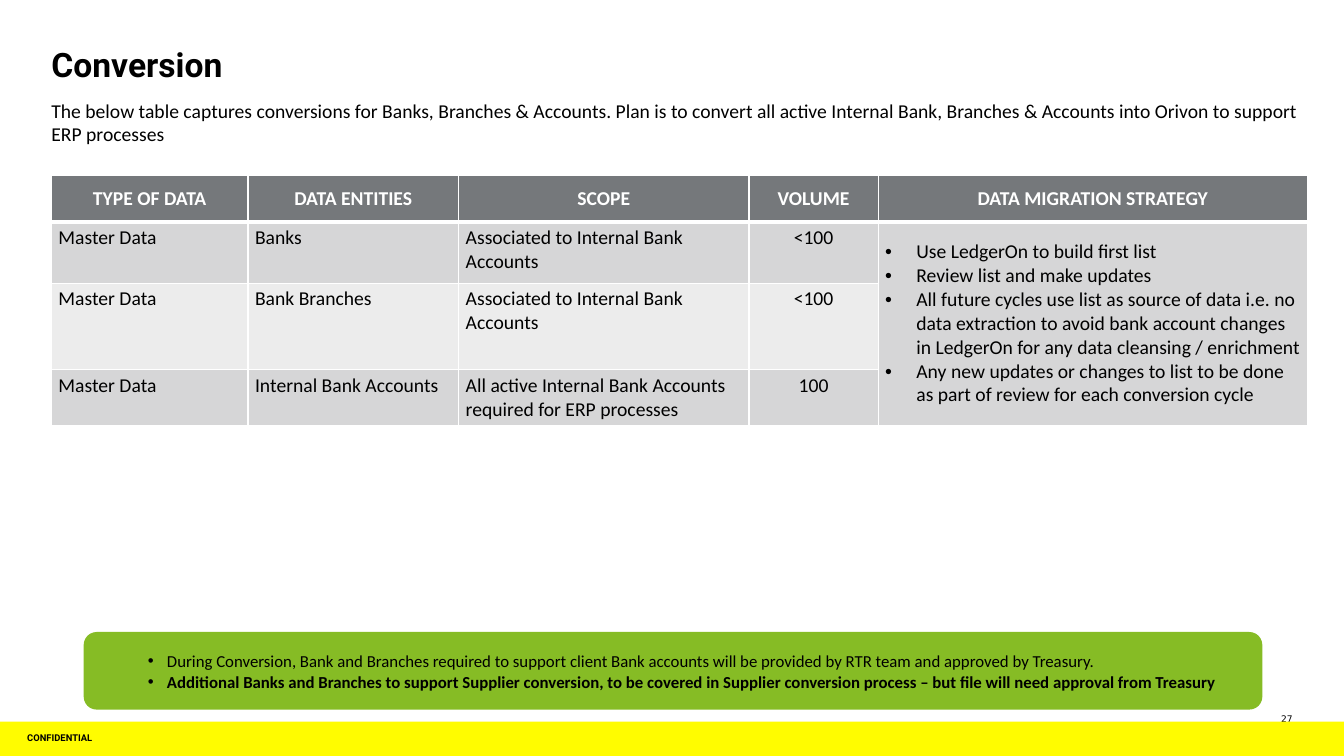
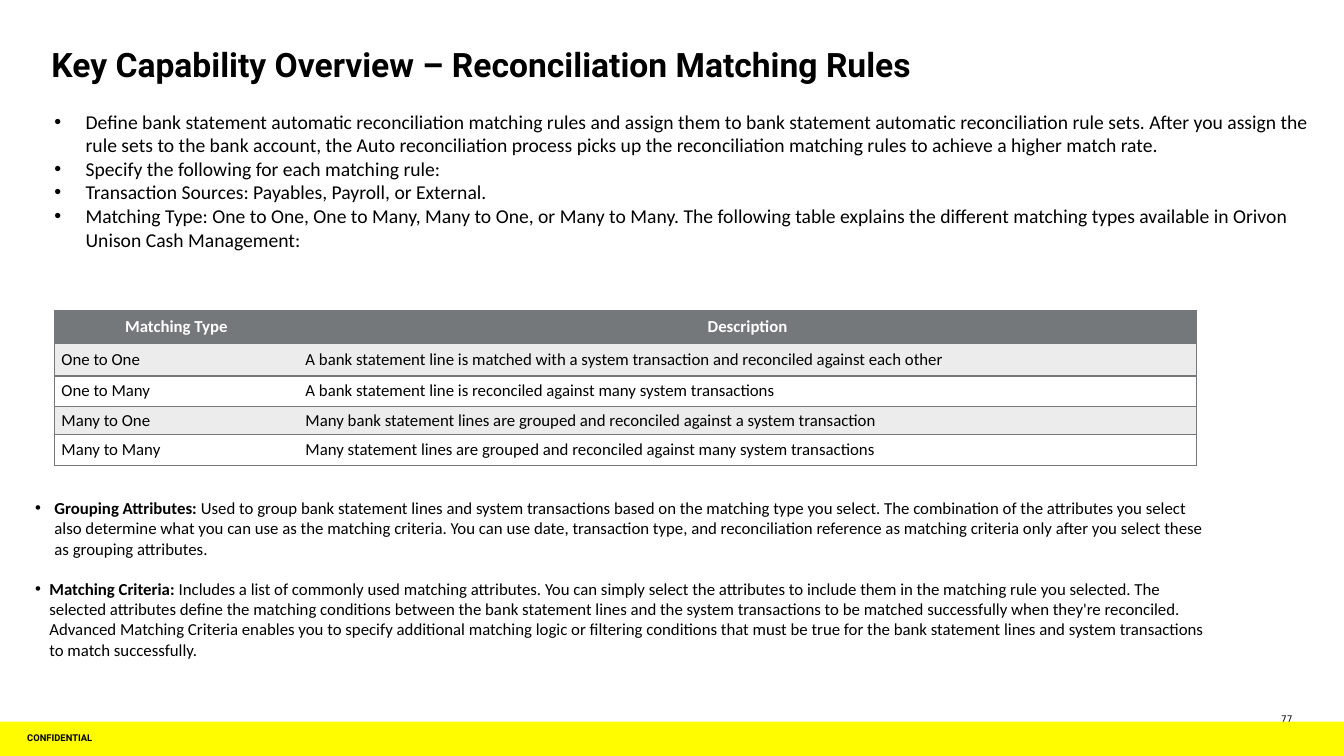
from dataclasses import dataclass
from typing import Sequence

from lxml.etree import SubElement
from pptx import Presentation
from pptx.dml.color import RGBColor
from pptx.enum.shapes import MSO_SHAPE
from pptx.enum.text import MSO_ANCHOR, PP_ALIGN
from pptx.oxml.ns import qn
from pptx.util import Emu, Pt

PX = 9144  # EMU, 100 px to the inch
SLIDE_WIDTH, SLIDE_HEIGHT = 1333, 750
BAND_TOP = 716

BLACK, WHITE = "000000", "FFFFFF"
YELLOW, GREEN = "FFFC00", "86BC25"
GREY, MID_GREY, LIGHT_GREY = "75787B", "D6D6D7", "ECECEC"


@dataclass(frozen=True)
class Style:
    size: float = 14
    font: str = "Calibri"
    color: str = BLACK
    bold: bool = False
    align: PP_ALIGN = PP_ALIGN.LEFT
    line_spacing: float | None = None


@dataclass(frozen=True)
class Para:
    text: str
    lead: str = ""
    bold: bool = False
    indent: int = 0
    hang: int = 0
    space_after: float = 0


@dataclass(frozen=True)
class Box:
    left: int
    top: int
    width: int
    height: int
    insets: tuple[int, int] = (0, 0)
    anchor: MSO_ANCHOR = MSO_ANCHOR.TOP

    def emu(self) -> tuple[Emu, Emu, Emu, Emu]:
        return px(self.left), px(self.top), px(self.width), px(self.height)


@dataclass(frozen=True)
class Grid:
    left: int
    top: int
    widths: tuple[int, ...]
    heights: tuple[int, ...]
    rows: tuple[tuple[str, ...], ...]
    bands: tuple[str, str]
    rule_color: str
    size: float
    body_anchor: MSO_ANCHOR
    column_rules: bool = False
    header_rule: float = 1
    centered_column: int | None = None
    bullet_column: int | None = None


TITLE = Style(24, "Roboto", bold=True)
BODY = Style()
SMALL = Style(12)
CALLOUT = Style(12, line_spacing=1.06)
PAGE_NUMBER = Style(6.5, "DejaVu Sans", align=PP_ALIGN.RIGHT)
CLASSIFICATION = Style(6.7, "Roboto", bold=True, line_spacing=0.8)


def px(length: int) -> Emu:
    return Emu(length * PX)


def rgb(color: str) -> RGBColor:
    return RGBColor.from_string(color)


def bullets(*texts: str) -> list[Para]:
    return [Para(text, indent=31, hang=31) for text in texts]


def set_bullet(paragraph, indent: int, hang: int) -> None:
    properties = paragraph._p.get_or_add_pPr()
    properties.set("marL", str(px(indent)))
    properties.set("indent", str(px(-hang)))
    SubElement(properties, qn("a:buFont"), typeface="Arial")
    SubElement(properties, qn("a:buChar"), char="•")


def write(frame, paras: Sequence[Para], style: Style) -> None:
    frame.text = "\n".join(para.lead or para.text for para in paras)
    for paragraph, para in zip(frame.paragraphs, paras):
        paragraph.alignment = style.align
        paragraph.space_after = Pt(para.space_after)
        if style.line_spacing:
            paragraph.line_spacing = style.line_spacing
        if para.hang:
            set_bullet(paragraph, para.indent, para.hang)
        if para.lead:
            paragraph.add_run().text = para.text
        for index, run in enumerate(paragraph.runs):
            is_lead = bool(para.lead) and index == 0
            run.font.name = style.font
            run.font.size = Pt(style.size)
            run.font.bold = style.bold or para.bold or is_lead
            run.font.color.rgb = rgb(style.color)


def fit_frame(frame, box: Box) -> None:
    frame.word_wrap = True
    frame.vertical_anchor = box.anchor
    frame.margin_left = frame.margin_right = px(box.insets[0])
    frame.margin_top = frame.margin_bottom = px(box.insets[1])


def add_text(slide, box: Box, paras: Sequence[Para], style: Style) -> None:
    frame = slide.shapes.add_textbox(*box.emu()).text_frame
    fit_frame(frame, box)
    write(frame, paras, style)


def add_panel(slide, preset: MSO_SHAPE, box: Box, color: str):
    panel = slide.shapes.add_shape(preset, *box.emu())
    panel.shadow.inherit = False
    panel.fill.solid()
    panel.fill.fore_color.rgb = rgb(color)
    panel.line.fill.background()
    fit_frame(panel.text_frame, box)
    return panel


def add_border(cell, side: str, color: str, width: float) -> None:
    """Draw one cell side; a width of 0 hides it."""
    line = SubElement(cell._tc.get_or_add_tcPr(), qn(f"a:ln{side}"), w=str(Pt(width)))
    if width:
        SubElement(SubElement(line, qn("a:solidFill")), qn("a:srgbClr"), val=color)
    else:
        SubElement(line, qn("a:noFill"))


def style_cell(cell, grid: Grid, row: int, column: int) -> None:
    inner_rule = 1 if grid.column_rules else 0
    last_column = len(grid.widths) - 1
    widths = {
        "L": 1 if column == 0 else inner_rule,
        "R": 1 if column == last_column else inner_rule,
        "T": grid.header_rule if row == 1 else 1,
        "B": grid.header_rule if row == 0 else 1,
    }
    for side, width in widths.items():
        add_border(cell, side, grid.rule_color, width)
    cell.fill.solid()
    cell.fill.fore_color.rgb = rgb(grid.bands[(row - 1) % 2] if row else GREY)
    cell.margin_left = cell.margin_right = px(7)
    cell.margin_top = cell.margin_bottom = px(4 if row else 0)
    middle = row == 0 or column == grid.bullet_column
    cell.vertical_anchor = MSO_ANCHOR.MIDDLE if middle else grid.body_anchor


def add_grid(slide, grid: Grid) -> None:
    box = Box(grid.left, grid.top, sum(grid.widths), sum(grid.heights))
    table = slide.shapes.add_table(len(grid.heights), len(grid.widths), *box.emu()).table
    for column, width in zip(table.columns, grid.widths):
        column.width = px(width)
    for row, height in zip(table.rows, grid.heights):
        row.height = px(height)
    if grid.bullet_column is not None:
        first = table.cell(1, grid.bullet_column)
        first.merge(table.cell(len(grid.heights) - 1, grid.bullet_column))
    for r, texts in enumerate(grid.rows):
        for c in range(len(grid.widths)):
            cell = table.cell(r, c)
            style_cell(cell, grid, r, c)
            if cell.is_spanned:
                continue
            centered = r == 0 or c == grid.centered_column
            style = Style(
                grid.size,
                color=BLACK if r else WHITE,
                bold=r == 0,
                align=PP_ALIGN.CENTER if centered else PP_ALIGN.LEFT,
            )
            bulleted = r > 0 and c == grid.bullet_column
            paras = bullets(*texts[c].split("\n")) if bulleted else [Para(texts[c])]
            write(cell.text_frame, paras, style)


def start_slide(deck, title: str, page: int):
    """Add a blank slide with the title, page number and footer band."""
    slide = deck.slides.add_slide(deck.slide_layouts[6])
    add_text(slide, Box(1248, 708, 34, 11), [Para(str(page))], PAGE_NUMBER)
    band = Box(0, BAND_TOP, SLIDE_WIDTH, SLIDE_HEIGHT - BAND_TOP)
    add_panel(slide, MSO_SHAPE.RECTANGLE, band, YELLOW)
    label = Box(24, BAND_TOP, 181, 34, (3, 3), MSO_ANCHOR.MIDDLE)
    add_text(slide, label, [Para("CONFIDENTIAL")], CLASSIFICATION)
    add_text(slide, Box(51, 44, 1231, 49), [Para(title)], TITLE)
    return slide


CONVERSIONS = Grid(
    51, 174, (195, 209, 288, 128, 426), (46, 61, 86, 55),
    rows=(
        ("TYPE OF DATA", "DATA ENTITIES", "SCOPE", "VOLUME", "DATA MIGRATION STRATEGY"),
        ("Master Data", "Banks", "Associated to Internal Bank Accounts", "<100",
         "Use LedgerOn to build first list\n"
         "Review list and make updates\n"
         "All future cycles use list as source of data i.e. no data extraction to avoid "
         "bank account changes in LedgerOn for any data cleansing / enrichment\n"
         "Any new updates or changes to list to be done as part of review for each "
         "conversion cycle"),
        ("Master Data", "Bank Branches", "Associated to Internal Bank Accounts", "<100"),
        ("Master Data", "Internal Bank Accounts",
         "All active Internal Bank Accounts required for ERP processes", "100"),
    ),
    bands=(MID_GREY, LIGHT_GREY), rule_color=WHITE, size=14, body_anchor=MSO_ANCHOR.TOP,
    column_rules=True, header_rule=3, centered_column=3, bullet_column=4,
)

MATCHING_TYPES = Grid(
    54, 308, (242, 891), (33, 32, 30, 28, 31),
    rows=(
        ("Matching Type", "Description"),
        ("One to One", "A bank statement line is matched with a system transaction and "
         "reconciled against each other"),
        ("One to Many", "A bank statement line is reconciled against many system transactions"),
        ("Many to One", "Many bank statement lines are grouped and reconciled against a "
         "system transaction"),
        ("Many to Many", "Many statement lines are grouped and reconciled against many "
         "system transactions"),
    ),
    bands=(LIGHT_GREY, WHITE), rule_color=GREY, size=12, body_anchor=MSO_ANCHOR.MIDDLE,
)


def build_conversion(deck) -> None:
    slide = start_slide(deck, "Conversion", 27)
    add_text(slide, Box(51, 93, 1246, 56, (0, 5)), [Para(
        "The below table captures conversions for Banks, Branches & Accounts. Plan is to "
        "convert all active Internal Bank, Branches & Accounts into Orivon to support "
        "ERP processes")], BODY)
    add_grid(slide, CONVERSIONS)
    callout_box = Box(83, 627, 1169, 77, (10, 10), MSO_ANCHOR.MIDDLE)
    callout = add_panel(slide, MSO_SHAPE.ROUNDED_RECTANGLE, callout_box, GREEN)
    write(callout.text_frame, [
        Para("During Conversion, Bank and Branches required to support client Bank accounts "
             "will be provided by RTR team and approved by Treasury.", indent=69, hang=19),
        Para("Additional Banks and Branches to support Supplier conversion, to be covered in "
             "Supplier conversion process – but file will need approval from Treasury",
             bold=True, indent=69, hang=19),
    ], CALLOUT)


def build_matching_rules(deck) -> None:
    slide = start_slide(deck, "Key Capability Overview – Reconciliation Matching Rules", 77)
    add_text(slide, Box(54, 104, 1246, 180, (0, 5)), bullets(
        "Define bank statement automatic reconciliation matching rules and assign them to "
        "bank statement automatic reconciliation rule sets. After you assign the rule sets "
        "to the bank account, the Auto reconciliation process picks up the reconciliation "
        "matching rules to achieve a higher match rate.",
        "Specify the following for each matching rule:",
        "Transaction Sources: Payables, Payroll, or External.",
        "Matching Type: One to One, One to Many, Many to One, or Many to Many. The following "
        "table explains the different matching types available in Orivon Unison Cash "
        "Management:"), BODY)
    add_grid(slide, MATCHING_TYPES)
    add_text(slide, Box(21, 487, 1200, 176, (14, 7)), [
        Para("Used to group bank statement lines and system transactions based on the matching "
             "type you select. The combination of the attributes you select also determine "
             "what you can use as the matching criteria. You can use date, transaction type, "
             "and reconciliation reference as matching criteria only after you select these "
             "as grouping attributes.",
             lead="Grouping Attributes: ", indent=19, hang=19, space_after=14.6),
        Para(" Includes a list of commonly used matching attributes. You can simply select the "
             "attributes to include them in the matching rule you selected. The selected "
             "attributes define the matching conditions between the bank statement lines and "
             "the system transactions to be matched successfully when they're reconciled. "
             "Advanced Matching Criteria enables you to specify additional matching logic or "
             "filtering conditions that must be true for the bank statement lines and system "
             "transactions to match successfully.",
             lead="Matching Criteria:", indent=14, hang=14),
    ], SMALL)


def main() -> None:
    deck = Presentation()
    deck.slide_width, deck.slide_height = px(SLIDE_WIDTH), px(SLIDE_HEIGHT)
    build_conversion(deck)
    build_matching_rules(deck)
    deck.save("out.pptx")


if __name__ == "__main__":
    main()
